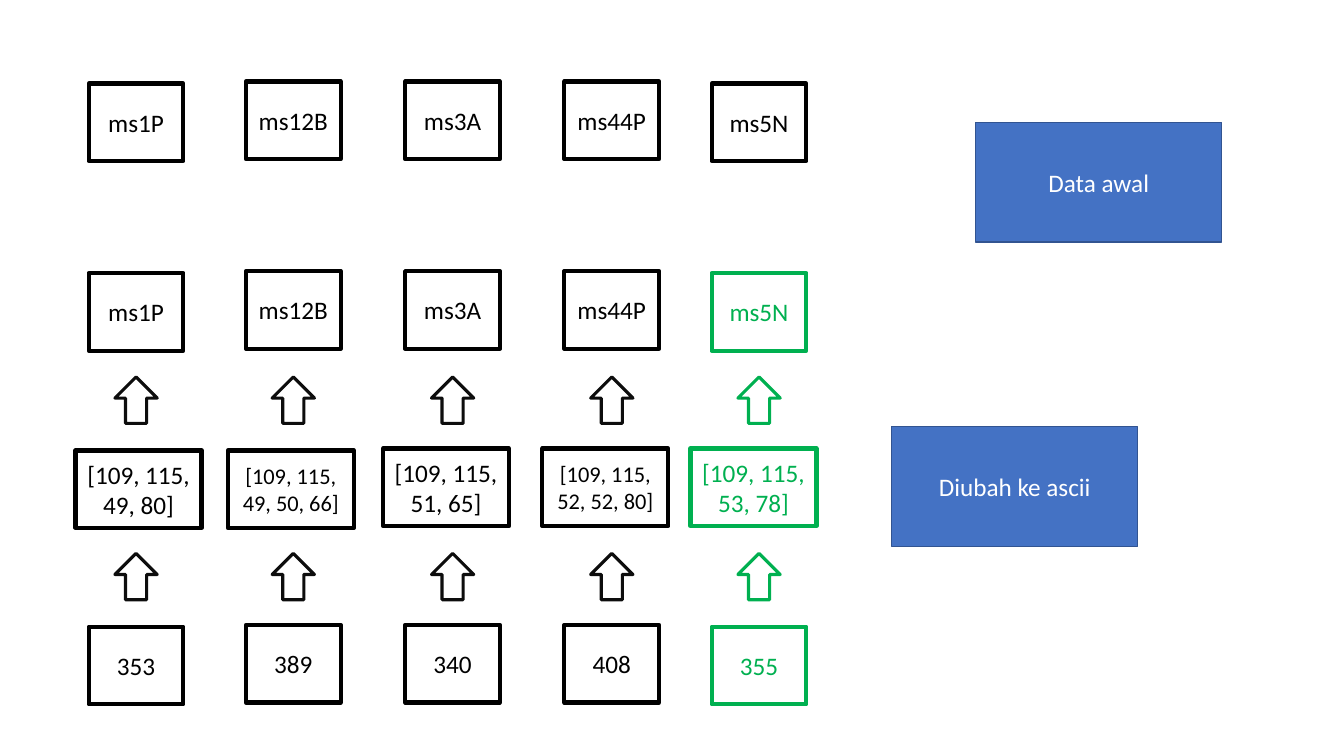
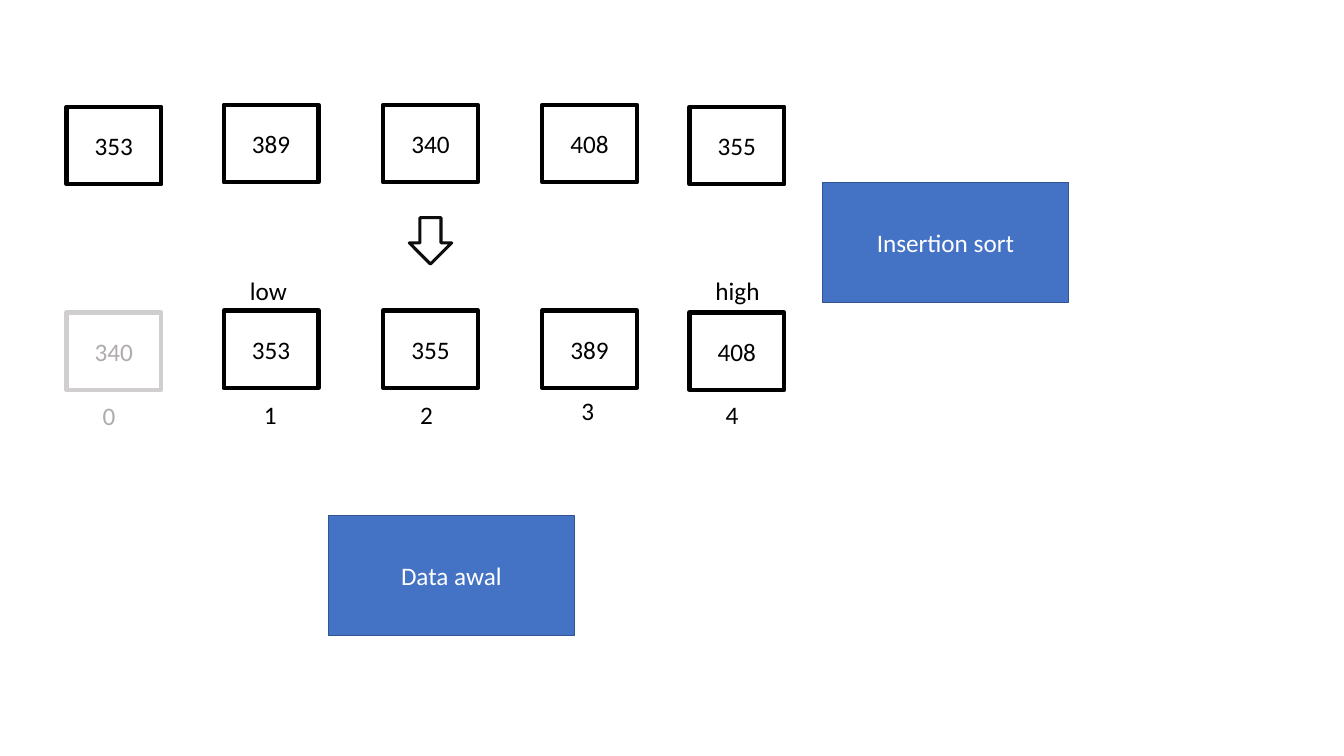
from pptx import Presentation
from pptx.dml.color import RGBColor
from pptx.enum.shapes import MSO_SHAPE
from pptx.enum.text import MSO_ANCHOR, PP_ALIGN
from pptx.util import Pt

BLACK, WHITE, GREEN = "000000", "FFFFFF", "00B050"
ARROW_LINE, BLUE, DARK_BLUE = "0D0D0D", "4472C4", "325491"
PALE_LINE, PALE_TEXT = "D0CECE", "AFABAB"

CELL_WIDTH, CODES_WIDTH, CELL_HEIGHT = 67.7, 90, 55.4
ARROW_WIDTH, ARROW_HEIGHT = 30.2, 33.1
CAPTION_WIDTH, CAPTION_HEIGHT = 175.7, 85.7
LABEL_HEIGHT = 29.1

CENTERS = [97.2, 209.5, 323.3, 437, 542.2]
CODES_CENTERS = [99, 207.7, 318.6, 432.4, 538.2]
SORT_CENTERS = [center - 15.8 for center in CENTERS]
OUTER_DROP = [1.4, 0, 0, 0, 1.4]
CODES_DROP = [1.4, 1.4, 0, 0, 0]

KEYS = ["ms1P", "ms12B", "ms3A", "ms44P", "ms5N"]
CODES = ["[109, 115, 49, 80]", "[109, 115, 49, 50, 66]", "[109, 115, 51, 65]",
         "[109, 115, 52, 52, 80]", "[109, 115, 53, 78]"]
SUMS = ["353", "389", "340", "408", "355"]
SORTED_SUMS = ["340", "353", "355", "389", "408"]

LAST_GREEN = {4: (GREEN, GREEN)}
FIRST_PALE = {0: (PALE_LINE, PALE_TEXT)}

ASCII_ROWS = [
    dict(texts=KEYS, top=58.3),
    dict(texts=KEYS, top=193.7, accents=LAST_GREEN),
    dict(texts=CODES, top=320.4, accents=LAST_GREEN, centers=CODES_CENTERS,
         drops=CODES_DROP, width=CODES_WIDTH),
    dict(texts=SUMS, top=446.4, accents=LAST_GREEN),
]
ASCII_ARROW_TOPS = [269.3, 395.3]
ASCII_CAPTIONS = [("Data awal", 697, 87.3), ("Diubah ke ascii", 637, 304.6)]

SORT_ROWS = [
    dict(texts=SUMS, top=74.9, centers=SORT_CENTERS),
    dict(texts=SORTED_SUMS, top=221.8, centers=SORT_CENTERS, accents=FIRST_PALE),
]
SORT_CAPTIONS = [("Data awal", 234.6, 368.3), ("Insertion sort", 587.5, 130.3)]
SORT_LABELS = [
    ("0", 66.2, 282.5, 30.2, PALE_TEXT),
    ("1", 181.4, 281.9, 30.2, BLACK),
    ("2", 293, 281.7, 30.2, BLACK),
    ("3", 408.2, 278.6, 30.2, BLACK),
    ("4", 511.2, 281.7, 30.2, BLACK),
    ("low", 171.4, 193, 42.5, BLACK),
    ("high", 504, 193, 67.7, BLACK),
]


def rgb(value):
    return RGBColor.from_string(value)


def write(shape, text, color=BLACK, size=18, align=PP_ALIGN.CENTER,
          anchor=MSO_ANCHOR.MIDDLE):
    frame = shape.text_frame
    frame.word_wrap = True
    frame.vertical_anchor = anchor
    paragraph = frame.paragraphs[0]
    paragraph.alignment = align
    run = paragraph.add_run()
    run.text = text
    run.font.name = "Calibri"
    run.font.size = Pt(size)
    run.font.color.rgb = rgb(color)


def draw(slide, preset, left, top, width, height, fill=WHITE, line=BLACK, weight=3):
    shape = slide.shapes.add_shape(preset, Pt(left), Pt(top), Pt(width), Pt(height))
    shape.shadow.inherit = False
    shape.fill.solid()
    shape.fill.fore_color.rgb = rgb(fill)
    shape.line.color.rgb = rgb(line)
    shape.line.width = Pt(weight)
    return shape


def add_row(slide, texts, top, centers=CENTERS, drops=OUTER_DROP,
            width=CELL_WIDTH, accents={}):
    for index, (text, center, drop) in enumerate(zip(texts, centers, drops)):
        line, color = accents.get(index, (BLACK, BLACK))
        cell = draw(slide, MSO_SHAPE.RECTANGLE, center - width / 2, top + drop,
                    width, CELL_HEIGHT, line=line)
        write(cell, text, color=color, size=16 if len(text) > 18 else 18)


def add_arrow(slide, preset, center, top, line=ARROW_LINE):
    draw(slide, preset, center - ARROW_WIDTH / 2, top, ARROW_WIDTH, ARROW_HEIGHT,
         line=line, weight=2.25)


def add_caption(slide, text, left, top):
    caption = draw(slide, MSO_SHAPE.RECTANGLE, left, top, CAPTION_WIDTH,
                   CAPTION_HEIGHT, fill=BLUE, line=DARK_BLUE, weight=1)
    write(caption, text, color=WHITE)


def add_label(slide, text, left, top, width, color):
    label = slide.shapes.add_textbox(Pt(left), Pt(top), Pt(width), Pt(LABEL_HEIGHT))
    write(label, text, color=color, align=PP_ALIGN.LEFT, anchor=MSO_ANCHOR.TOP)


def add_slide(deck, rows, captions):
    slide = deck.slides.add_slide(deck.slide_layouts[6])
    for row in rows:
        add_row(slide, **row)
    for caption in captions:
        add_caption(slide, *caption)
    return slide


def main():
    deck = Presentation()
    deck.slide_width, deck.slide_height = Pt(960), Pt(540)

    ascii_slide = add_slide(deck, ASCII_ROWS, ASCII_CAPTIONS)
    for top in ASCII_ARROW_TOPS:
        for center in CENTERS:
            line = GREEN if center == CENTERS[-1] else ARROW_LINE
            add_arrow(ascii_slide, MSO_SHAPE.UP_ARROW, center, top, line)

    sort_slide = add_slide(deck, SORT_ROWS, SORT_CAPTIONS)
    add_arrow(sort_slide, MSO_SHAPE.DOWN_ARROW, SORT_CENTERS[2], 155.5)
    for label in SORT_LABELS:
        add_label(sort_slide, *label)

    deck.save("out.pptx")


if __name__ == "__main__":
    main()
